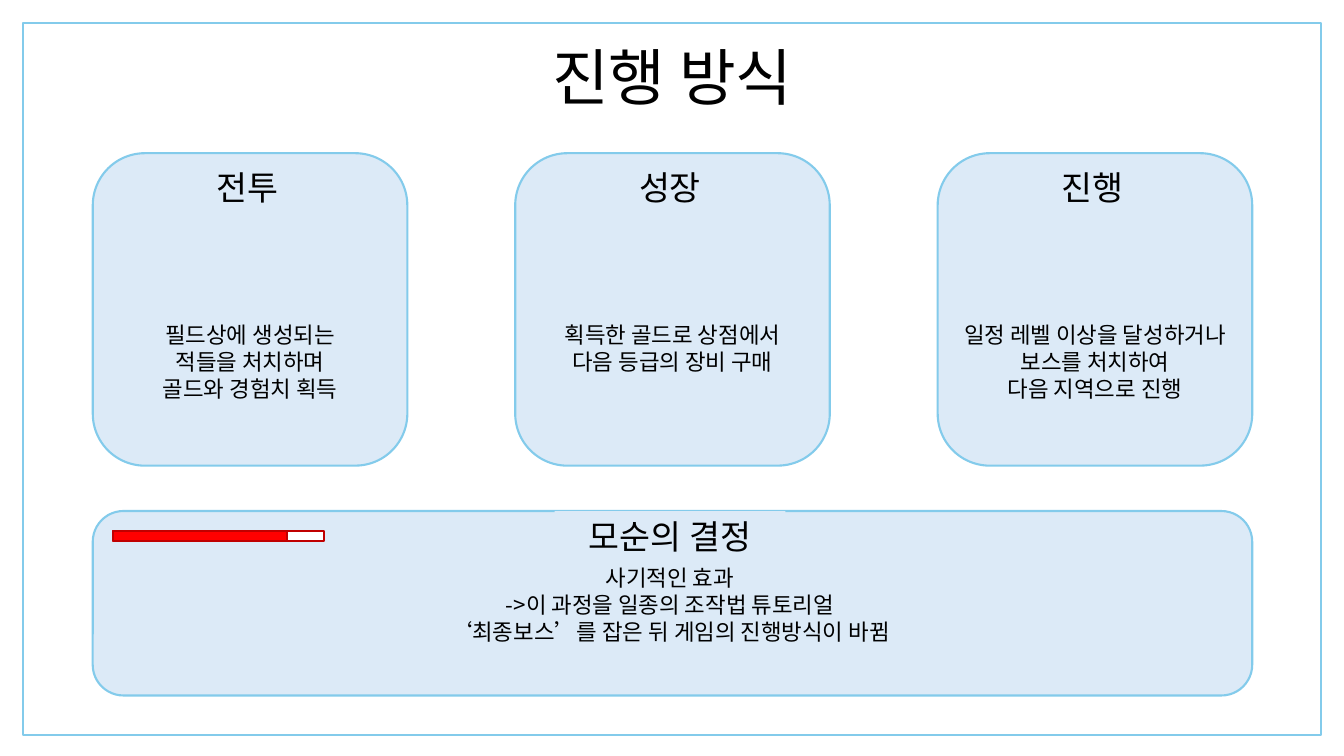
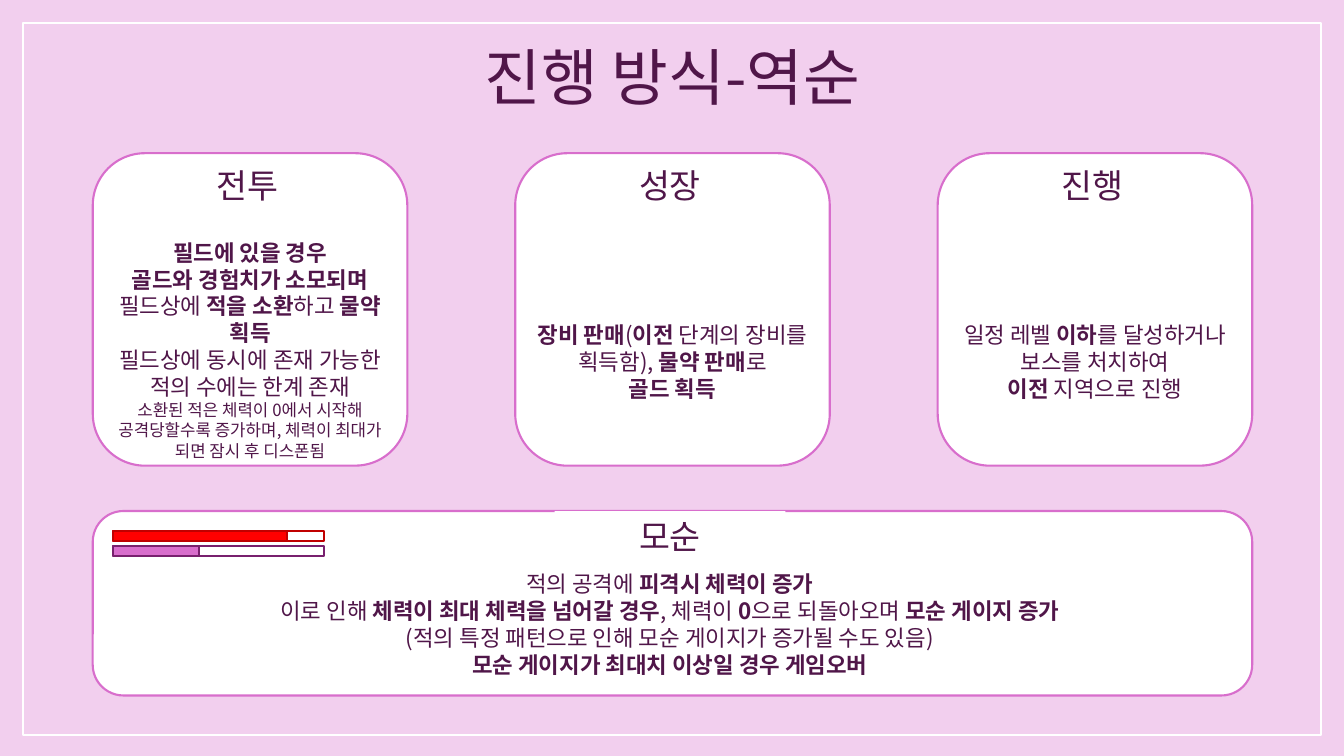
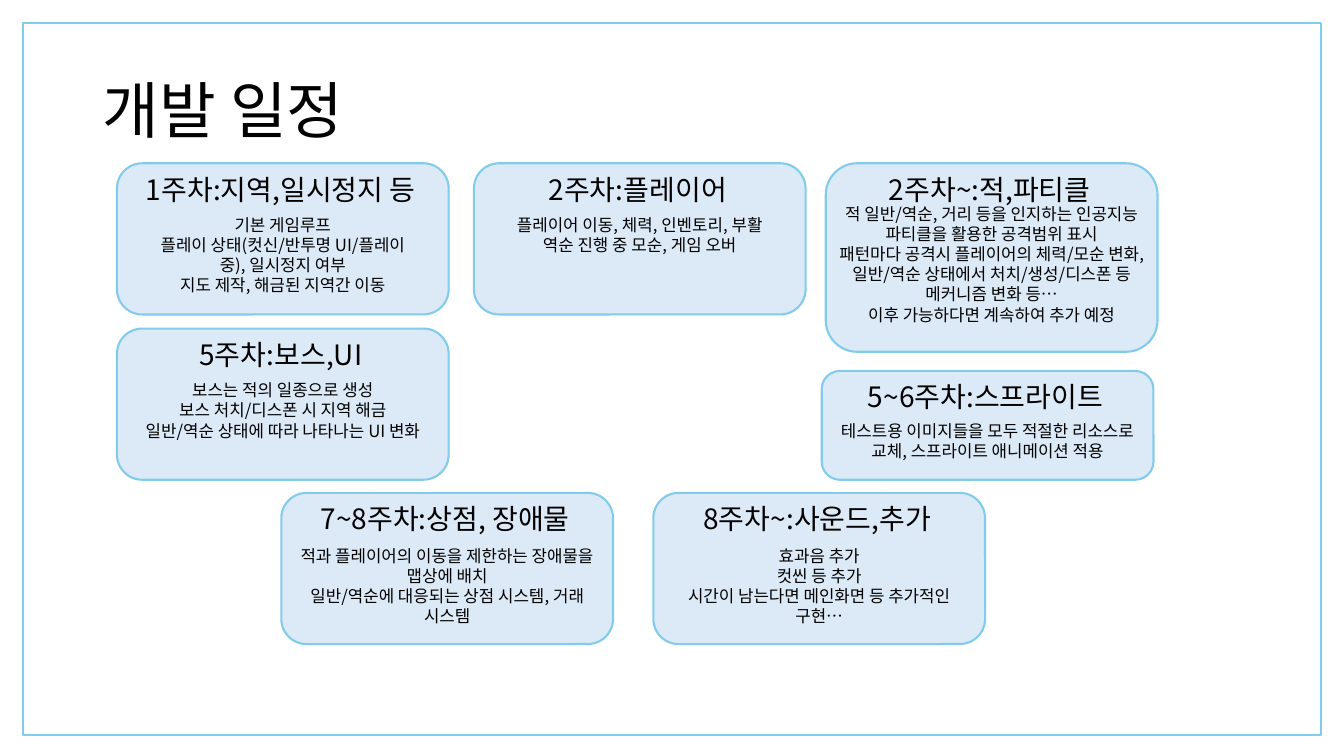
"""Build three slides on a game's two ways of play and its work plan."""
from lxml import etree
from pptx import Presentation
from pptx.dml.color import RGBColor
from pptx.enum import shapes, text
from pptx.oxml import ns
from pptx.util import Inches, Pt

FONT = "Noto Sans CJK KR"
BLACK = RGBColor(0x00, 0x00, 0x00)
WHITE = RGBColor(0xFF, 0xFF, 0xFF)
PALE = RGBColor(0xDC, 0xEA, 0xF7)
SKY = RGBColor(0x83, 0xCB, 0xEB)
PINK = RGBColor(0xF2, 0xCF, 0xEE)
ORCHID = RGBColor(0xD8, 0x6E, 0xCC)
PURPLE = RGBColor(0x78, 0x20, 0x6E)
PLUM = RGBColor(0x50, 0x16, 0x49)
RED = RGBColor(0xFF, 0x00, 0x00)
DARK = RGBColor(0xC0, 0x00, 0x00)
RECT = shapes.MSO_SHAPE.RECTANGLE
ROUND = shapes.MSO_SHAPE.ROUNDED_RECTANGLE
CENTER = text.PP_ALIGN.CENTER
LEFT = text.PP_ALIGN.LEFT


def write(shape, lines, size=16, ink=BLACK, align=CENTER, space=None,
          fit=text.MSO_AUTO_SIZE.SHAPE_TO_FIT_TEXT, anchor=text.MSO_ANCHOR.TOP):
    """Fill a shape with lines; asterisks enclose bold, a pair sets its own size."""
    frame = shape.text_frame
    frame.word_wrap = True
    frame.auto_size = fit
    frame.vertical_anchor = anchor
    for i, line in enumerate(lines):
        words, points = line if isinstance(line, tuple) else (line, size)
        para = frame.paragraphs[0] if i == 0 else frame.add_paragraph()
        para.alignment = align
        para.line_spacing = space
        for j, part in enumerate(words.split("*")):
            if part:
                run = para.add_run()
                run.text = part
                run.font.name = FONT
                run.font.size = Pt(points)
                run.font.bold = j % 2 == 1
                run.font.color.rgb = ink
                east = etree.SubElement(run.font._element, ns.qn("a:ea"))
                east.set("typeface", FONT)


def draw(host, kind, at, fill, line):
    """Add a preset shape with an optional fill and a thin outline."""
    shape = host.add_shape(kind, *map(Inches, at))
    shape.shadow.inherit = False
    if fill is None:
        shape.fill.background()
    else:
        shape.fill.solid()
        shape.fill.fore_color.rgb = fill
    shape.line.color.rgb = line
    shape.line.width = Pt(1.5)


deck = Presentation()
deck.slide_width = Inches(13.33)
deck.slide_height = Inches(7.5)

pages = []
for title, top, align, back, edge, ink in [
    ("진행 방식", 0.07, CENTER, WHITE, SKY, BLACK),
    ("진행 방식-역순", 0.07, CENTER, PINK, WHITE, PLUM),
    ("개발 일정", 0.4, LEFT, WHITE, SKY, BLACK),
]:
    page = deck.slides.add_slide(deck.slide_layouts[5])
    page.background.fill.solid()
    page.background.fill.fore_color.rgb = back
    head = page.shapes.title
    head.left, head.top, head.width, head.height = map(Inches, (0.92, top, 11.5, 1.45))
    write(head, [title], size=44, ink=ink, align=align, space=0.9,
          fit=text.MSO_AUTO_SIZE.NONE, anchor=text.MSO_ANCHOR.MIDDLE)
    draw(page.shapes, RECT, (0.23, 0.23, 12.87, 7.06), None, edge)
    pages.append(page)

HEADS = ["전투", "성장", "진행"]
normal = [
    (3.14, ["필드상에 생성되는", "적들을 처치하며", "골드와 경험치 획득"]),
    (3.14, ["획득한 골드로 상점에서", "다음 등급의 장비 구매"]),
    (3.14, ["일정 레벨 이상을 달성하거나", "보스를 처치하여", "다음 지역으로 진행"]),
]
reverse = [
    (2.32, ["*필드에 있을 경우*", "*골드와 경험치가 소모되며*",
            "필드상에 *적을 소환*하고 *물약 획득*",
            "필드상에 동시에 존재 가능한 적의 수에는 한계 존재",
            ("소환된 적은 체력이 0에서 시작해 공격당할수록 증가하며, "
             "체력이 최대가 되면 잠시 후 디스폰됨", 12)]),
    (3.14, ["*장비 판매*(*이전* 단계의 장비를 획득함), *물약 판매*로", "*골드 획득*"]),
    (3.14, ["일정 레벨 *이하*를 달성하거나", "보스를 처치하여", "*이전* 지역으로 진행"]),
]
rule = ["사기적인 효과", "->이 과정을 일종의 조작법 튜토리얼",
        "‘최종보스’를 잡은 뒤 게임의 진행방식이 바뀜"]
twist = ["적의 공격에 *피격시 체력이 증가*",
         "이로 인해 *체력이 최대 체력을 넘어갈 경우*, 체력이 *0*으로 되돌아오며 *모순 게이지 증가*",
         "(적의 특정 패턴으로 인해 모순 게이지가 증가될 수도 있음)",
         "*모순 게이지가 최대치 이상일 경우 게임오버*"]
life = (5.27, 1.73, RED, DARK)
gauge = (5.42, 0.85, ORCHID, PURPLE)

for page, fill, edge, ink, high, cols, name, low, foot, bars in [
    (pages[0], PALE, SKY, BLACK, 1.61, normal, "모순의 결정", 5.55, rule, [life]),
    (pages[1], WHITE, ORCHID, PLUM, 1.59, reverse, "모순", 5.61, twist, [life, gauge]),
]:
    for i, (top, lines) in enumerate(cols):
        left = 0.92 + 4.19 * i
        draw(page.shapes, ROUND, (left, 1.52, 3.12, 3.1), fill, edge)
        for at, words, size in [((left + 0.39, high, 2.29, 0.5), [HEADS[i]], 24),
                                ((left, top, 3.12, 0.91), lines, 16)]:
            write(page.shapes.add_textbox(*map(Inches, at)), words, size=size, ink=ink)
    group = page.shapes.add_group_shape().shapes
    draw(group, ROUND, (0.92, 5.07, 11.5, 1.83), fill, edge)
    for at, words, size in [((5.5, 5.07, 2.29, 0.5), [name], 24),
                            ((1.83, low, 9.63, 1.18), foot, 16)]:
        label = group.add_textbox(*map(Inches, at))
        label.fill.solid()
        label.fill.fore_color.rgb = fill
        write(label, words, size=size, ink=ink)
    for top, wide, tint, rim in bars:
        draw(page.shapes, RECT, (1.12, top, 2.09, 0.1), WHITE, rim)
        draw(page.shapes, RECT, (1.12, top, wide, 0.1), tint, rim)

for left, top, tall, inset, drop, name, lines in [
    (1.16, 1.62, 1.5, 0.21, 0.46, "1주차:지역,일시정지 등",
     ["기본 게임루프", "플레이 상태(컷신/반투명 UI/플레이 중), 일시정지 여부",
      "지도 제작, 해금된 지역간 이동"]),
    (4.7, 1.62, 1.5, 0.21, 0.46, "2주차:플레이어",
     ["플레이어 이동, 체력, 인벤토리, 부활", "역순 진행 중 모순, 게임 오버"]),
    (8.19, 1.62, 1.87, 0, 0.35, "2주차~:적,파티클",
     ["적 일반/역순, 거리 등을 인지하는 인공지능", "파티클을 활용한 공격범위 표시",
      "패턴마다 공격시 플레이어의 체력/모순 변화, 일반/역순 상태에서 "
      "처치/생성/디스폰 등 메커니즘 변화 등…", "이후 가능하다면 계속하여 추가 예정"]),
    (1.16, 3.26, 1.5, 0, 0.46, "5주차:보스,UI",
     ["보스는 적의 일종으로 생성", "보스 처치/디스폰 시 지역 해금",
      "일반/역순 상태에 따라 나타나는 UI 변화"]),
    (8.15, 3.68, 1.08, 0, 0.44, "5~6주차:스프라이트",
     ["테스트용 이미지들을 모두 적절한 리소스로 교체, 스프라이트 애니메이션 적용"]),
    (2.79, 4.89, 1.5, 0, 0.47, "7~8주차:상점, 장애물",
     ["적과 플레이어의 이동을 제한하는 장애물을 맵상에 배치",
      "일반/역순에 대응되는 상점 시스템, 거래 시스템"]),
    (6.48, 4.89, 1.5, 0, 0.47, "8주차~:사운드,추가",
     ["효과음 추가", "컷씬 등 추가", "시간이 남는다면 메인화면 등 추가적인 구현…"]),
]:
    group = pages[2].shapes.add_group_shape().shapes
    draw(group, ROUND, (left, top, 3.29, tall), PALE, SKY)
    for at, words, size in [
        ((left, top + 0.04, 3.25, 0.44), [name], 20),
        ((left + inset, top + drop, 3.29 - 2 * inset, 0.91), lines, 12),
    ]:
        write(group.add_textbox(*map(Inches, at)), words, size=size)

deck.save("out.pptx")
